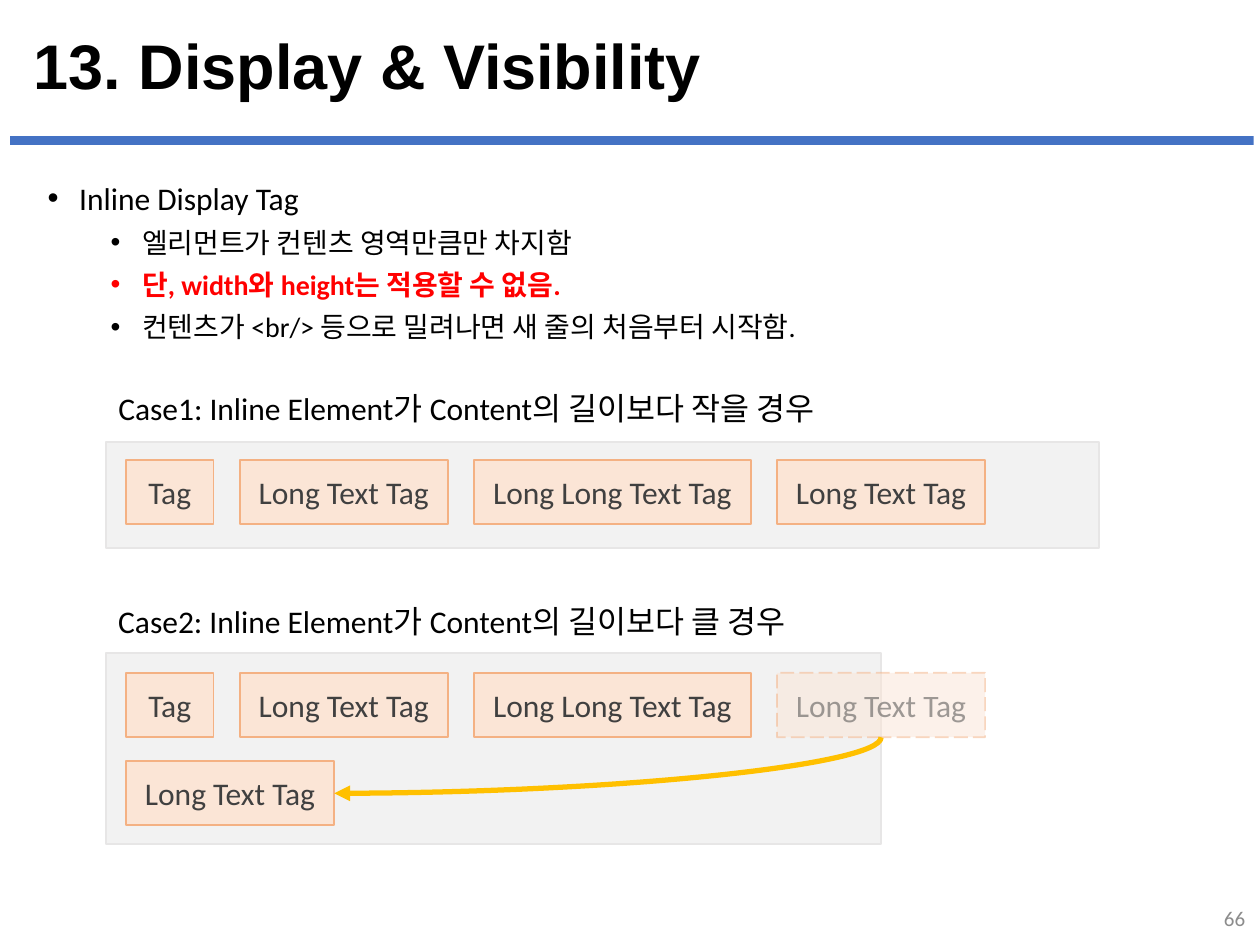
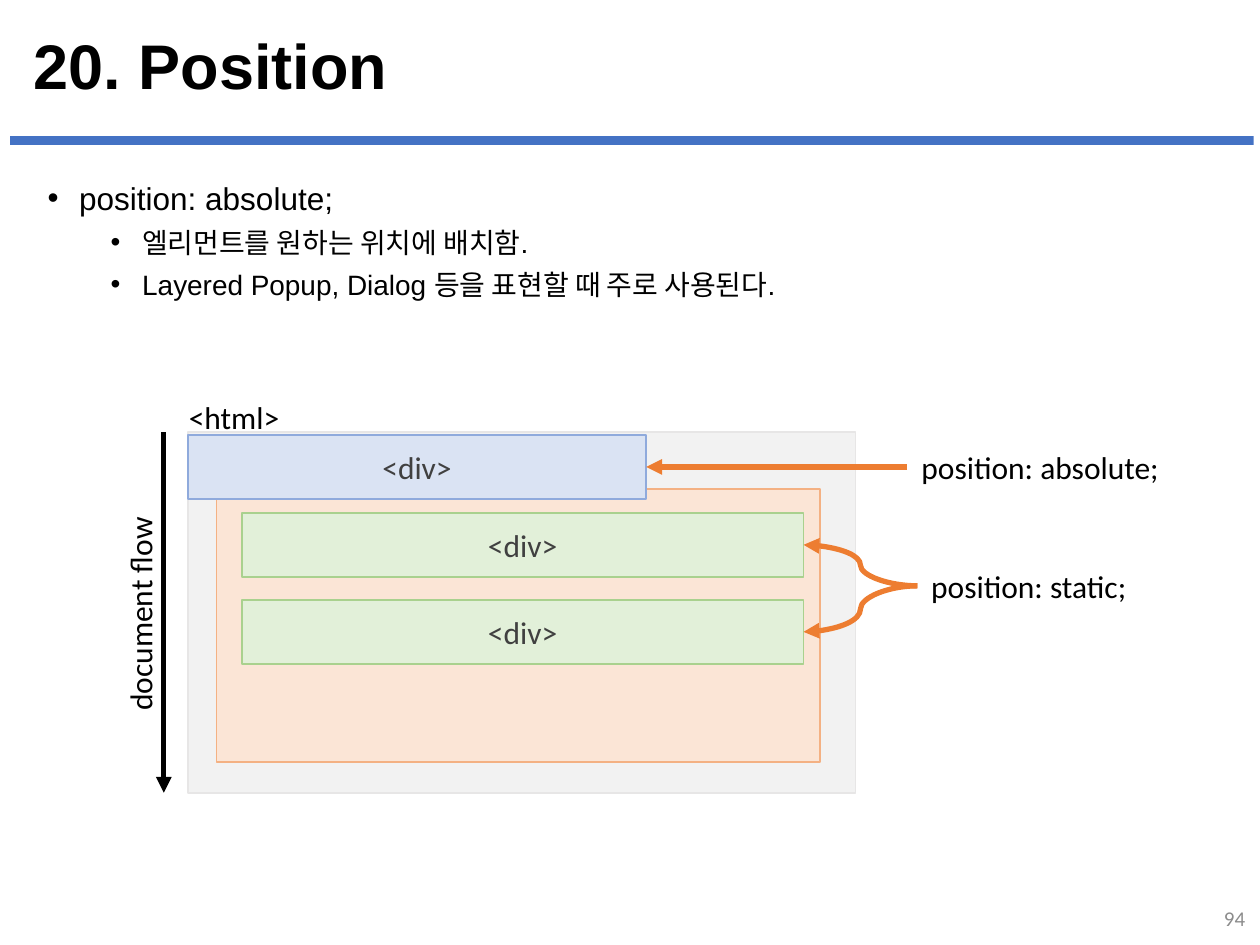
from lxml import etree
from pptx import Presentation
from pptx.dml.color import RGBColor
from pptx.enum.dml import MSO_LINE
from pptx.enum.shapes import MSO_CONNECTOR, MSO_SHAPE
from pptx.enum.text import MSO_ANCHOR, MSO_AUTO_SIZE, PP_ALIGN
from pptx.oxml.ns import qn
from pptx.util import Pt

RECTANGLE = MSO_SHAPE.RECTANGLE
STRAIGHT, CURVE = MSO_CONNECTOR.STRAIGHT, MSO_CONNECTOR.CURVE
LEFT, CENTER, RIGHT = PP_ALIGN.LEFT, PP_ALIGN.CENTER, PP_ALIGN.RIGHT
MIDDLE = MSO_ANCHOR.MIDDLE
NO_FIT, FIT_SHAPE = MSO_AUTO_SIZE.NONE, MSO_AUTO_SIZE.SHAPE_TO_FIT_TEXT

BLACK = RGBColor(0x00, 0x00, 0x00)
RED = RGBColor(0xFF, 0x00, 0x00)
BAND_BLUE = RGBColor(0x44, 0x72, 0xC4)
NUMBER_GRAY = RGBColor(0x8C, 0x8C, 0x8C)
TAG_TEXT = RGBColor(0x40, 0x40, 0x40)
GOLD = RGBColor(0xFF, 0xC0, 0x00)
ORANGE = RGBColor(0xED, 0x7D, 0x31)

# Box styles: fill, line
GRAY_BOX = RGBColor(0xF2, 0xF2, 0xF2), RGBColor(0xE7, 0xE6, 0xE6)
ORANGE_BOX = RGBColor(0xFB, 0xE5, 0xD6), RGBColor(0xF4, 0xB1, 0x83)
BLUE_BOX = RGBColor(0xDA, 0xE3, 0xF3), RGBColor(0x8F, 0xAA, 0xDC)
GREEN_BOX = RGBColor(0xE2, 0xF0, 0xD9), RGBColor(0xA9, 0xD1, 0x8E)

HEADING_FONT, BODY_FONT = "Arial", "Calibri"
BOX_HEIGHT = 36.8
LABEL_HEIGHT = 28.8

# Bullets: level, text, colour
DISPLAY_BULLETS = [
    (0, "Inline Display Tag", BLACK),
    (1, "엘리먼트가 컨텐츠 영역만큼만 차지함", BLACK),
    (1, "단, width와 height는 적용할 수 없음.", RED),
    (1, "컨텐츠가 <br/> 등으로 밀려나면 새 줄의 처음부터 시작함.", BLACK),
]
POSITION_BULLETS = [
    (0, "position: absolute;", BLACK),
    (1, "엘리먼트를 원하는 위치에 배치함.", BLACK),
    (1, "Layered Popup, Dialog 등을 표현할 때 주로 사용된다.", BLACK),
]

# Inline tags: text, width
INLINE_TAGS = [
    ("Tag", 50),
    ("Long Text Tag", 119),
    ("Long Long Text Tag", 158),
    ("Long Text Tag", 119),
]
TAG_LEFT, TAG_GAP = 72, 15
CASE_LEFT = 60.5
# Cases: caption, caption top, caption width, panel top, panel size, tag row top
CASES = [
    ("Case1: Inline Element가 Content의 길이보다 작을 경우", 218.9, 431.3,
     252.7, (567.4, 60.5), 262.8),
    ("Case2: Inline Element가 Content의 길이보다 클 경우", 340.6, 413.3,
     373, (442.8, 109.4), 384.5),
]
WRAPPED_TAG_TOP = 434.9

HTML_LEFT, HTML_TOP, HTML_WIDTH, HTML_HEIGHT = 107.3, 247, 381.6, 206
FLOW_X = 93.6
STATIC_TOPS = (293, 342.7)


def points(place):
    return [Pt(value) for value in place]


def style_paragraph(para, size, color, font=BODY_FONT, bold=False, align=LEFT):
    para.alignment = align
    for span in para.runs:
        span.font.size = Pt(size)
        span.font.name = font
        span.font.bold = bold
        span.font.color.rgb = color


def add_box(page, place, style, text=""):
    fill, line = style
    box = page.shapes.add_shape(RECTANGLE, *points(place))
    box.shadow.inherit = False
    box.fill.solid()
    box.fill.fore_color.rgb = fill
    box.line.color.rgb = line
    box.line.width = Pt(1)
    if text:
        box.text_frame.text = text
        box.text_frame.vertical_anchor = MIDDLE
        style_paragraph(box.text_frame.paragraphs[0], 18, TAG_TEXT, align=CENTER)
    return box


def add_label(page, left, top, width, text, align=LEFT):
    label = page.shapes.add_textbox(*points((left, top, width, LABEL_HEIGHT)))
    label.text_frame.text = text
    label.text_frame.word_wrap = False
    label.text_frame.auto_size = FIT_SHAPE
    style_paragraph(label.text_frame.paragraphs[0], 18, BLACK, align=align)
    return label


def add_arrow(page, kind, start, end, color):
    """Draw an arrow between two (x, y) pairs given as lengths."""
    arrow = page.shapes.add_connector(kind, *start, *end)
    arrow.line.color.rgb = color
    arrow.line.width = Pt(3)
    etree.SubElement(arrow.line._get_or_add_ln(), qn("a:tailEnd"), type="triangle")
    etree.SubElement(arrow.element.spPr, qn("a:effectLst"))
    return arrow


def link_label(page, kind, label, box):
    """Point from the left edge of a label to the right edge of a box."""
    start = label.left, label.top + label.height // 2
    end = box.left + box.width, box.top + box.height // 2
    add_arrow(page, kind, start, end, ORANGE)


def make_ghost(box):
    """Fade a box to half strength and dash its outline."""
    box.line.dash_style = MSO_LINE.LONG_DASH
    for color in box.element.iter(qn("a:srgbClr")):
        etree.SubElement(color, qn("a:alpha"), val="50000")


def add_bullets(page, bullets, font):
    box = page.shapes.add_textbox(*points((20.2, 98.6, 676.8, 431.3)))
    frame = box.text_frame
    frame.word_wrap = True
    for index, (level, text, color) in enumerate(bullets):
        para = frame.add_paragraph() if index else frame.paragraphs[0]
        para.text = text
        para.level = level
        if index:
            para.space_before = Pt(5)
        properties = para._p.get_or_add_pPr()
        properties.set("marL", str(Pt(54 if level else 18)))
        properties.set("indent", str(Pt(-18)))
        etree.SubElement(properties, qn("a:buFont"), typeface="Arial")
        etree.SubElement(properties, qn("a:buChar"), char="•")
        style_paragraph(para, 16 if level else 18, color, font, bold=color == RED)


def add_page(deck, title_text, number, bullets, font):
    """Add a page with its band, title, number and bullets."""
    page = deck.slides.add_slide(deck.slide_layouts[5])
    band = add_box(page, (5.8, 77.8, 710.6, 5), (BAND_BLUE, BAND_BLUE))
    band.line.fill.background()

    title = page.shapes.title
    title.left, title.top, title.width, title.height = points((12.2, 15.8, 695.5, 47.5))
    title.text_frame.text = title_text
    title.text_frame.auto_size = NO_FIT
    title.text_frame.vertical_anchor = MIDDLE
    heading = title.text_frame.paragraphs[0]
    heading.line_spacing = 0.9
    style_paragraph(heading, 36, BLACK, HEADING_FONT, bold=True)

    number_box = page.shapes.add_textbox(*points((556.6, 510.5, 162, 28.8)))
    number_box.text_frame.text = str(number)
    number_box.text_frame.word_wrap = True
    number_box.text_frame.vertical_anchor = MIDDLE
    style_paragraph(number_box.text_frame.paragraphs[0], 12, NUMBER_GRAY, align=RIGHT)

    add_bullets(page, bullets, font)
    return page


def add_tag_row(page, top):
    """Lay the inline tags side by side and return the last one."""
    left = TAG_LEFT
    for text, width in INLINE_TAGS:
        tag = add_box(page, (left, top, width, BOX_HEIGHT), ORANGE_BOX, text)
        left += width + TAG_GAP
    return tag


def build_display_page(deck):
    page = add_page(deck, "13. Display & Visibility", 66, DISPLAY_BULLETS, BODY_FONT)
    for caption, caption_top, caption_width, panel_top, panel_size, row_top in CASES:
        add_label(page, CASE_LEFT, caption_top, caption_width, caption)
        add_box(page, (CASE_LEFT, panel_top, *panel_size), GRAY_BOX)
        last_tag = add_tag_row(page, row_top)
    make_ghost(last_tag)

    text, width = INLINE_TAGS[-1]
    wrapped = add_box(page, (TAG_LEFT, WRAPPED_TAG_TOP, width, BOX_HEIGHT), ORANGE_BOX, text)

    # The quarter curve is drawn upright around its centre, then turned by 90 degrees
    start_x, start_y = last_tag.left + last_tag.width // 2, last_tag.top + last_tag.height
    end_x, end_y = wrapped.left + wrapped.width, wrapped.top + wrapped.height // 2
    center_x, center_y = (start_x + end_x) // 2, (start_y + end_y) // 2
    half_width, half_height = (end_y - start_y) // 2, (start_x - end_x) // 2
    arrow = add_arrow(page, CURVE, (center_x - half_width, center_y - half_height),
                      (center_x + half_width, center_y + half_height), GOLD)
    arrow.element.spPr.find(qn("a:prstGeom")).set("prst", "curvedConnector2")
    arrow.element.spPr.find(qn("a:xfrm")).set("rot", str(90 * 60000))


def build_position_page(deck):
    page = add_page(deck, "20. Position", 94, POSITION_BULLETS, HEADING_FONT)
    add_box(page, (HTML_LEFT, HTML_TOP, HTML_WIDTH, HTML_HEIGHT), GRAY_BOX)
    add_box(page, (123.8, 279.4, 344.9, 156.2), ORANGE_BOX)
    add_label(page, 100.8, 224, 67, "<html>")
    absolute_box = add_box(page, (HTML_LEFT, 248.4, 262, BOX_HEIGHT), BLUE_BOX, "<div>")
    static_boxes = [add_box(page, (138.2, top, 321, BOX_HEIGHT), GREEN_BOX, "<div>")
                    for top in STATIC_TOPS]

    add_arrow(page, STRAIGHT, points((FLOW_X, HTML_TOP)),
              points((FLOW_X, HTML_TOP + HTML_HEIGHT)), BLACK)
    flow_label = add_label(page, 16.6, 335.5, 126.7, "document flow")
    flow_label.rotation = 270

    static_label = add_label(page, 524.2, 320.4, 127.4, "position: static;", CENTER)
    for box in static_boxes:
        link_label(page, CURVE, static_label, box)
    absolute_label = add_label(page, 518.4, 252.4, 152, "position: absolute;", CENTER)
    link_label(page, STRAIGHT, absolute_label, absolute_box)


def main():
    deck = Presentation()
    deck.slide_width, deck.slide_height = Pt(720), Pt(540)
    build_display_page(deck)
    build_position_page(deck)
    deck.save("out.pptx")


if __name__ == "__main__":
    main()
